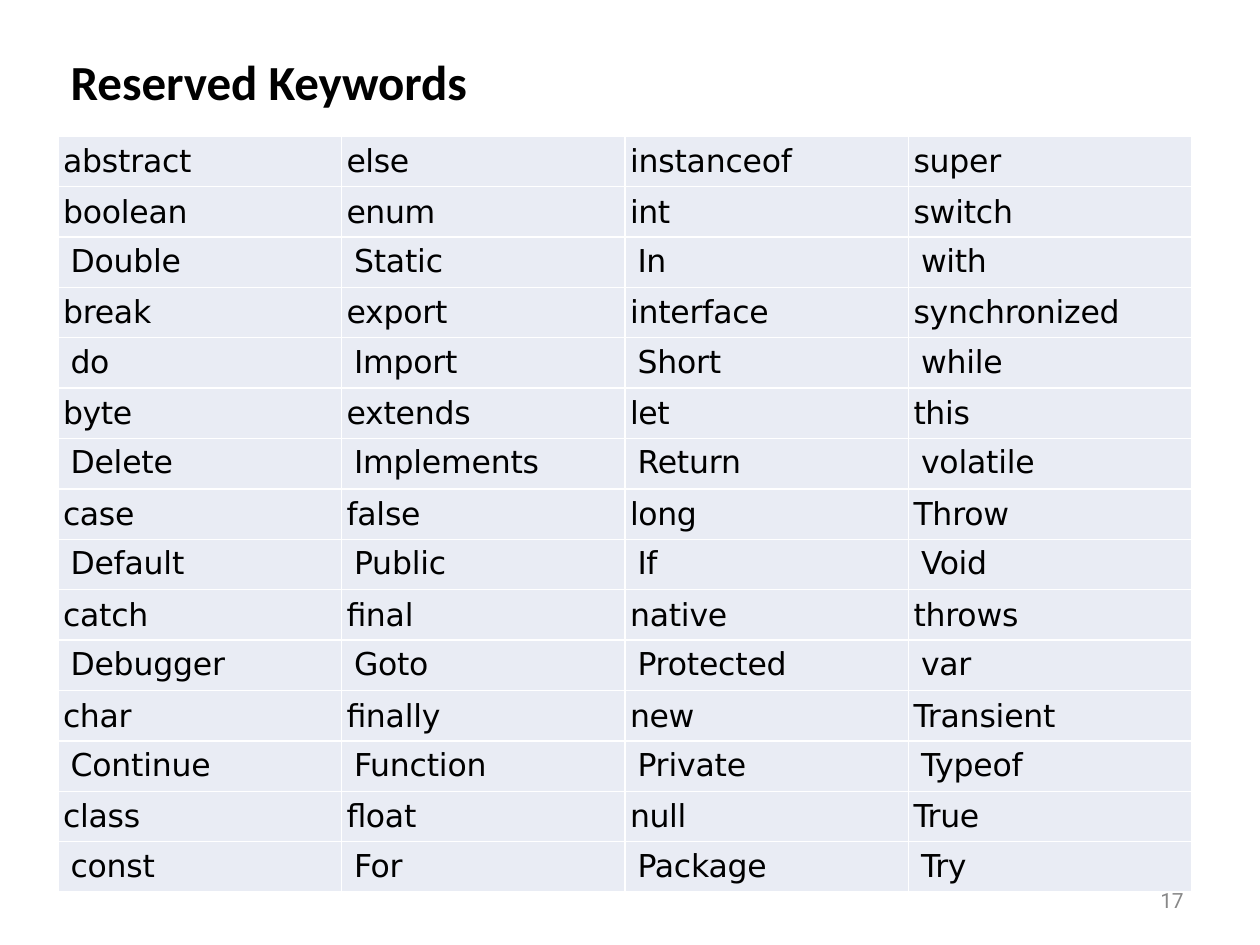
from lxml.etree import SubElement
from pptx import Presentation
from pptx.dml.color import RGBColor
from pptx.enum.text import MSO_ANCHOR, MSO_AUTO_SIZE, PP_ALIGN
from pptx.oxml import parse_xml
from pptx.oxml.ns import nsdecls
from pptx.util import Inches, Pt

BLACK = RGBColor(0x00, 0x00, 0x00)
WHITE = RGBColor(0xFF, 0xFF, 0xFF)
GRAY = RGBColor(0x88, 0x88, 0x88)
CELL_FILL = RGBColor(0xE9, 0xEC, 0xF4)

TITLE = "Reserved Keywords"
PAGE_NUMBER = "17"
KEYWORDS = [
    ("abstract", "else", "instanceof", "super"),
    ("boolean", "enum", "int", "switch"),
    ("Double", "Static", "In", "with"),
    ("break", "export", "interface", "synchronized"),
    ("do", "Import", "Short", "while"),
    ("byte", "extends", "let", "this"),
    ("Delete", "Implements", "Return", "volatile"),
    ("case", "false", "long", "Throw"),
    ("Default", "Public", "If", "Void"),
    ("catch", "final", "native", "throws"),
    ("Debugger", "Goto", "Protected", "var"),
    ("char", "finally", "new", "Transient"),
    ("Continue", "Function", "Private", "Typeof"),
    ("class", "float", "null", "True"),
    ("const", "For", "Package", "Try"),
]
COLUMN_WIDTH = 2.25
ROW_HEIGHT = 0.4


def write_text(frame, text, *, font, size, color=BLACK, bold=False,
               indent=0, space_before=0, line_spacing=None, tracking=0):
    """Fill the first paragraph; indent is in inches, the rest in points."""
    paragraph = frame.paragraphs[0]
    paragraph.alignment = PP_ALIGN.LEFT
    paragraph.space_before = Pt(space_before)
    if line_spacing:
        paragraph.line_spacing = Pt(line_spacing)
    if indent:
        properties = paragraph._p.get_or_add_pPr()
        properties.set("marL", str(Inches(indent)))
        properties.set("indent", "0")
    run = paragraph.add_run()
    run.text = text
    run.font.name = font
    run.font.size = Pt(size)
    run.font.bold = bold
    run.font.color.rgb = color
    if tracking:
        run._r.get_or_add_rPr().set("spc", str(round(tracking * 100)))


def place(shape, left, top, width, height):
    shape.left, shape.top = Inches(left), Inches(top)
    shape.width, shape.height = Inches(width), Inches(height)


def set_borders(cell, color, width):
    properties = cell._tc.get_or_add_tcPr()
    for index, side in enumerate(("lnL", "lnR", "lnT", "lnB")):
        line = parse_xml(f'<a:{side} {nsdecls("a")} w="{Pt(width)}"><a:solidFill>'
                         f'<a:srgbClr val="{color}"/></a:solidFill></a:{side}>')
        properties.insert(index, line)


def add_keyword_table(slide):
    rows, columns = len(KEYWORDS), len(KEYWORDS[0])
    table = slide.shapes.add_table(
        rows, columns, Inches(0.46), Inches(1.08),
        Inches(COLUMN_WIDTH * columns), Inches(ROW_HEIGHT * rows)).table
    table.first_row = table.horz_banding = False
    for row, words in enumerate(KEYWORDS):
        # From the third row on, every other row is indented.
        indented = row >= 2 and row % 2 == 0
        for column, word in enumerate(words):
            cell = table.cell(row, column)
            cell.margin_left = cell.margin_right = cell.margin_bottom = 0
            cell.margin_top = Inches(0.05 if indented else 0.06)
            cell.fill.solid()
            cell.fill.fore_color.rgb = CELL_FILL
            set_borders(cell, WHITE, 1)
            write_text(cell.text_frame, word, font="DejaVu Sans", size=18,
                       indent=0.1 if indented else 0.04,
                       space_before=3.5 if indented else 4.3,
                       tracking=-0.2 if len(word) <= 4 else -0.1)


def add_page_number(slide):
    box = slide.shapes.add_textbox(0, 0, 0, 0)
    place(box, 9.17, 7.05, 0.28, 0.21)
    frame = box.text_frame
    frame.word_wrap = True
    frame.margin_left = frame.margin_right = 0
    frame.margin_top = frame.margin_bottom = 0
    write_text(frame, PAGE_NUMBER, font="Roboto", size=12, color=GRAY,
               indent=0.04, line_spacing=14.2, tracking=-0.2)


def main():
    presentation = Presentation()
    presentation.slide_width, presentation.slide_height = Inches(10), Inches(7.5)
    slide = presentation.slides.add_slide(presentation.slide_layouts[5])
    add_page_number(slide)
    add_keyword_table(slide)
    title = slide.shapes.title
    place(title, 0.46, 0.36, 6.58, 0.57)
    title.text_frame.vertical_anchor = MSO_ANCHOR.TOP
    title.text_frame.auto_size = MSO_AUTO_SIZE.SHAPE_TO_FIT_TEXT
    write_text(title.text_frame, TITLE, font="Calibri", size=28, bold=True)
    presentation.save("out.pptx")


if __name__ == "__main__":
    main()
